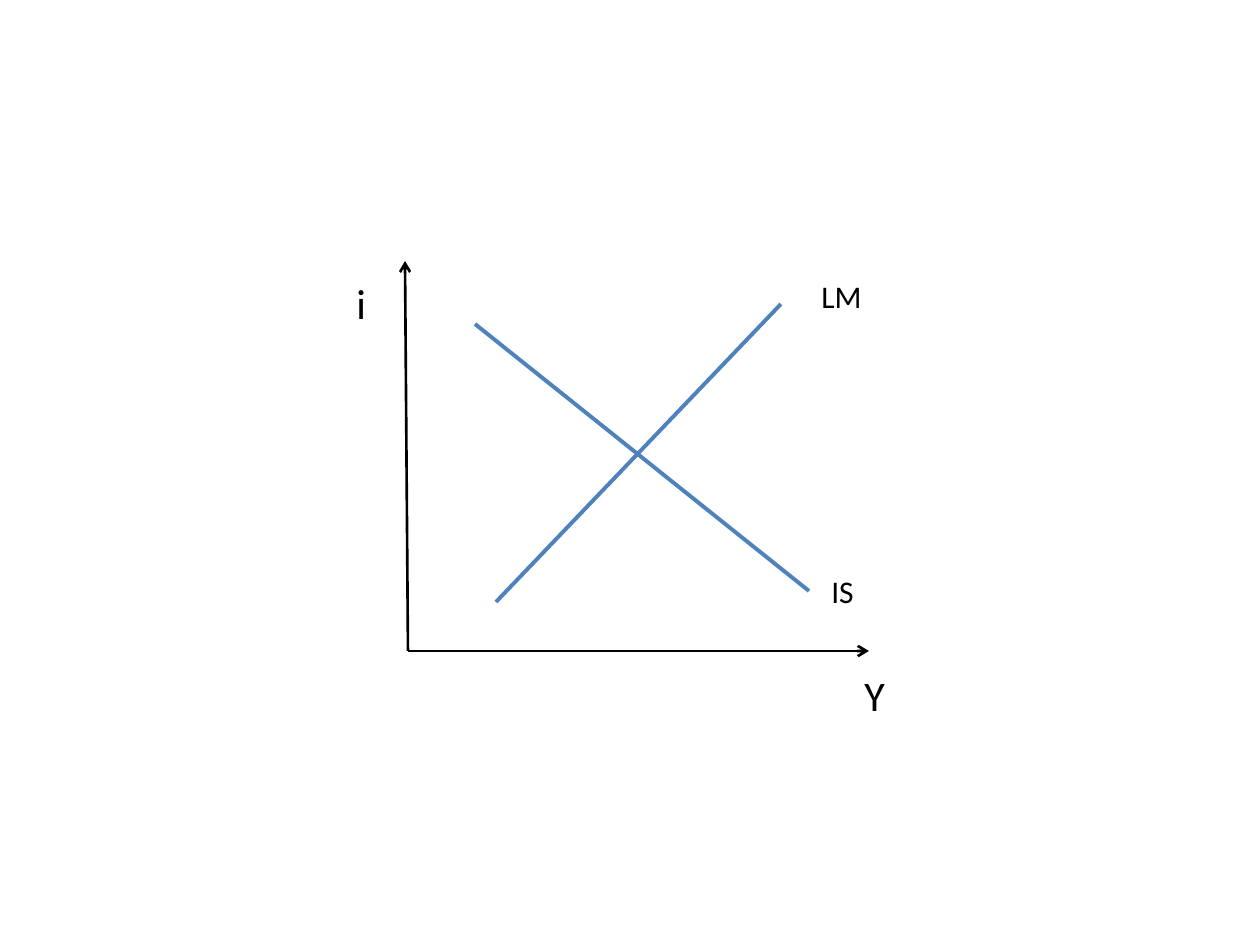
from pptx import Presentation, util as u
from pptx.dml.color import RGBColor
from pptx.enum import shapes, text
from pptx.oxml.ns import qn
from lxml import etree

PIXEL = 914400 / 126
COLORS = {"axis": "000000", "curve": "4F81BD", "text": "000000"}
ORIGIN = (408, 651)

AXES = [(ORIGIN, (405, 261)), (ORIGIN, (869, 651))]
CURVES = [((475, 324), (809, 591)), ((496, 602), (781, 304))]
LABELS = [
    ("Y", (852, 663, 46, 58), 24),
    ("i", (344, 271, 35, 58), 24),
    ("LM", (809, 271, 65, 50), 18),
    ("IS", (819, 566, 48, 50), 18),
]


def px(value):
    return u.Emu(round(value * PIXEL))


def add_line(slide, start, end, color, width, arrow=False):
    line = slide.shapes.add_connector(
        shapes.MSO_CONNECTOR.STRAIGHT, *map(px, start + end))
    line.line.color.rgb = RGBColor.from_string(color)
    line.line.width = u.Pt(width)
    if arrow:
        etree.SubElement(line.line._get_or_add_ln(), qn("a:tailEnd"), type="arrow")
    etree.SubElement(line._element.spPr, qn("a:effectLst"))


def add_text(slide, words, box, size, color=COLORS["text"], font="Calibri"):
    frame = slide.shapes.add_textbox(*map(px, box)).text_frame
    frame.word_wrap = False
    frame.auto_size = text.MSO_AUTO_SIZE.SHAPE_TO_FIT_TEXT
    run = frame.paragraphs[0].add_run()
    run.text = words
    run.font.name = font
    run.font.size = u.Pt(size)
    run.font.color.rgb = RGBColor.from_string(color)


presentation = Presentation()
presentation.slide_width = px(1260)
presentation.slide_height = px(945)
slide = presentation.slides.add_slide(presentation.slide_layouts[6])

for start, end in AXES:
    add_line(slide, start, end, COLORS["axis"], 1.5, arrow=True)
for start, end in CURVES:
    add_line(slide, start, end, COLORS["curve"], 2.25)
for words, box, size in LABELS:
    add_text(slide, words, box, size)

presentation.save("out.pptx")
